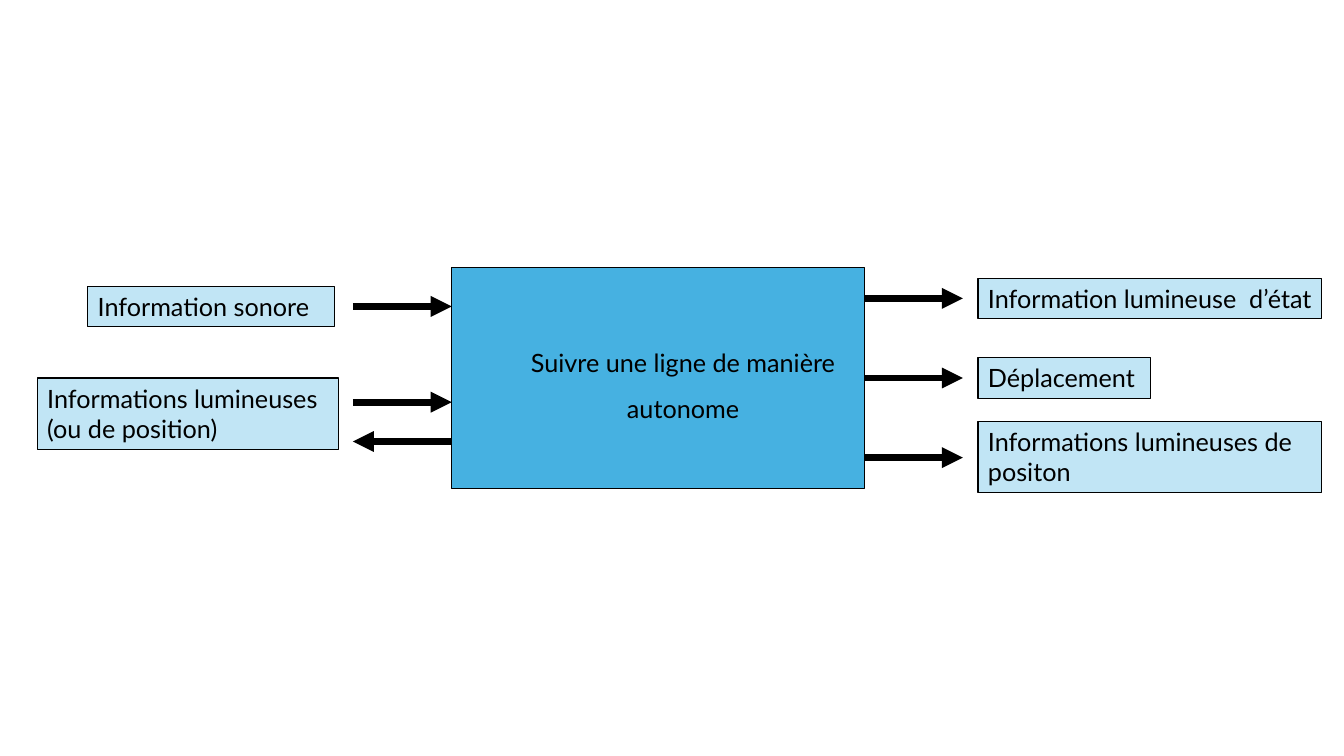
from dataclasses import dataclass

from lxml.etree import SubElement
from pptx import Presentation
from pptx.dml.color import RGBColor as RGB
from pptx.enum.shapes import MSO_CONNECTOR as CONN, MSO_SHAPE as SHAPE
from pptx.enum.text import MSO_ANCHOR as ANCHOR, MSO_AUTO_SIZE as FIT, PP_ALIGN as ALIGN
from pptx.oxml.ns import qn
from pptx.util import Inches, Pt


@dataclass(frozen=True)
class Theme:
    """Colours, font and sizes of the slide."""
    ink: RGB = RGB.from_string("000000")
    system: RGB = RGB.from_string("46B1E1")
    label: RGB = RGB.from_string("C1E5F5")
    font: str = "Lato"
    size: Pt = Pt(18)
    border: Pt = Pt(0.75)
    arrow: Pt = Pt(5)


def write(tf, text, theme, align=ALIGN.LEFT, anchor=ANCHOR.TOP, fit=FIT.NONE,
          spacing=None, level=0, margin=0):
    """Put one formatted paragraph into a text frame."""
    tf.word_wrap = True
    tf.auto_size = fit
    tf.vertical_anchor = anchor
    p = tf.paragraphs[0]
    p.alignment = align
    p.level = level
    if spacing:
        p.line_spacing = spacing
    p._p.get_or_add_pPr().set("marL", str(Inches(margin)))
    r = p.add_run()
    r.text = text
    r.font.name = theme.font
    r.font.size = theme.size
    r.font.color.rgb = theme.ink


class Diagram:
    """Draws boxes and arrows on one slide in one style."""

    def __init__(self, s, theme):
        self.s = s
        self.theme = theme

    def box(self, x, y, w, h, text, fill, **text_format):
        """Add a bordered rectangle with text."""
        sp = self.s.shapes.add_shape(SHAPE.RECTANGLE, Inches(x), Inches(y), Inches(w), Inches(h))
        sp.shadow.inherit = False
        sp.fill.solid()
        sp.fill.fore_color.rgb = fill
        sp.line.color.rgb = self.theme.ink
        sp.line.width = self.theme.border
        write(sp.text_frame, text, self.theme, **text_format)
        return sp

    def label(self, x, y, w, h, text):
        """Add a pale box that names an input or output."""
        return self.box(x, y, w, h, text, self.theme.label, fit=FIT.SHAPE_TO_FIT_TEXT)

    def arrow(self, x1, x2, y):
        """Add a thick horizontal arrow from x1 to x2."""
        c = self.s.shapes.add_connector(CONN.STRAIGHT, Inches(x1), Inches(y), Inches(x2), Inches(y))
        c.line.color.rgb = self.theme.ink
        c.line.width = self.theme.arrow
        SubElement(c.line._get_or_add_ln(), qn("a:tailEnd"), type="triangle")
        SubElement(c._element.spPr, qn("a:effectLst"))
        return c


def main():
    """Build and save the slide."""
    prs = Presentation()
    prs.slide_width, prs.slide_height = Inches(13.33), Inches(7.5)
    theme = Theme()
    d = Diagram(prs.slides.add_slide(prs.slide_layouts[6]), theme)

    left, top, width, height = 4.48, 2.65, 4.09, 2.2
    right, middle = left + width, top + height / 2
    reach, step = 0.98, 0.79

    system = d.box(left, top, width, height, "Suivre une ligne de manière autonome", theme.system,
                   align=ALIGN.CENTER, anchor=ANCHOR.MIDDLE, spacing=1.5, level=1, margin=0.5)

    for y in (3.04, 3.99):
        d.arrow(left - reach, left, y)
    d.arrow(left, left - reach, 4.38)
    outputs = [d.arrow(right, right + reach, middle + i * step) for i in (-1, 0, 1)]
    outputs[1].begin_connect(system, 3)

    for x, y, w, h, text in (
        (9.7, 2.76, 3.41, 0.4, "Information lumineuse  d’état"),
        (9.7, 3.55, 1.71, 0.4, "Déplacement"),
        (9.7, 4.18, 3.41, 0.71, "Informations lumineuses de positon"),
        (0.87, 2.84, 2.45, 0.4, "Information sonore"),
        (0.37, 3.75, 2.99, 0.71, "Informations lumineuses (ou de position)"),
    ):
        d.label(x, y, w, h, text)

    prs.save("out.pptx")


if __name__ == "__main__":
    main()
